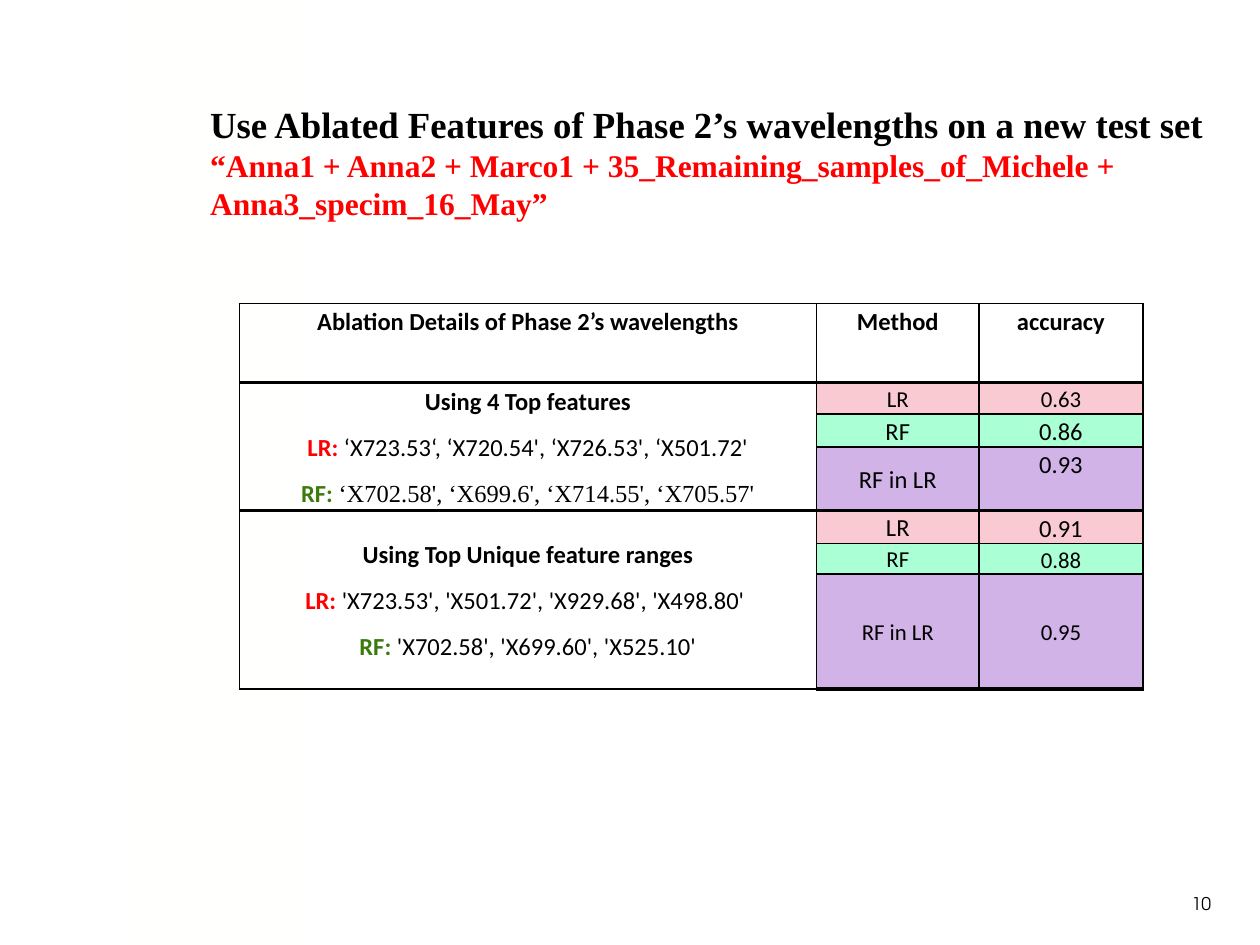
from lxml import etree
from pptx import Presentation
from pptx.dml.color import RGBColor
from pptx.enum.shapes import MSO_SHAPE as Shape
from pptx.enum.text import MSO_ANCHOR as Anchor, PP_ALIGN as Align
from pptx.oxml.ns import qn
from pptx.util import Pt

BLACK = RGBColor(0, 0, 0)
RED = RGBColor(0xFF, 0, 0)
GREEN = RGBColor(0x39, 0x7B, 0x0D)
IVORY = RGBColor(0xFF, 0xFF, 0xFE)
PINK = RGBColor(0xFA, 0xCA, 0xD2)
MINT = RGBColor(0xAB, 0xFF, 0xD5)
LILAC = RGBColor(0xD1, 0xB3, 0xE7)

SANS, SERIF, PAGE = "Calibri", "Times New Roman", "TeX Gyre Adventor"
THIN, THICK = 1, 2.25

COLS = [329.8, 92.9, 93.6]
ROWS = [45.2, 18, 18.8, 36.3, 18.3, 17.7, 65.7]
HEADS = ["Ablation Details of Phase 2’s wavelengths", "Method", "accuracy"]
METHODS = [("LR", PINK), ("RF", MINT), ("RF in LR", LILAC)]

# Each group: title, LR features, RF features, RF font, (accuracy, size) by method
GROUPS = [
    ("Using 4 Top features",
     "‘X723.53‘, ‘X720.54', ‘X726.53', ‘X501.72'",
     "‘X702.58', ‘X699.6', ‘X714.55', ‘X705.57'", SERIF,
     [("0.63", 13), ("0.86", 14), ("0.93", 14)]),
    ("Using Top Unique feature ranges",
     "'X723.53', 'X501.72', 'X929.68', 'X498.80' ",
     "'X702.58', 'X699.60', 'X525.10'", SANS,
     [("0.91", 14), ("0.88", 13), ("0.95", 13)]),
]


def add_run(para, text, size=14, font=SANS, color=BLACK, bold=False):
    run = para.add_run()
    run.text = text
    run.font.size = Pt(size)
    run.font.name = font
    run.font.bold = bold
    run.font.color.rgb = color


def add_text(slide, left, top, width, height, align=Align.LEFT):
    box = slide.shapes.add_textbox(Pt(left), Pt(top), Pt(width), Pt(height))
    box.text_frame.word_wrap = True
    para = box.text_frame.paragraphs[0]
    para.alignment = align
    return para


def add_band(slide, left, top, width, height):
    band = slide.shapes.add_shape(
        Shape.RECTANGLE, Pt(left), Pt(top), Pt(width), Pt(height))
    band.shadow.inherit = False
    band.fill.solid()
    band.fill.fore_color.rgb = IVORY
    band.line.fill.background()


def set_edges(cell, top, bottom):
    props = cell._tc.get_or_add_tcPr()
    for side, width in zip("LRTB", (THIN, THIN, top, bottom)):
        line = etree.SubElement(props, qn(f"a:ln{side}"), w=str(Pt(width)))
        fill = etree.SubElement(line, qn("a:solidFill"))
        etree.SubElement(fill, qn("a:srgbClr"), val=str(BLACK))


def fill_cell(cell, lines, color=None, mid=False):
    """Write lines, each a list of (text, style) runs, into a cell."""
    if color is None:
        cell.fill.background()
    else:
        cell.fill.solid()
        cell.fill.fore_color.rgb = color
    cell.vertical_anchor = Anchor.MIDDLE if mid else Anchor.TOP
    cell.margin_left = cell.margin_right = Pt(0 if mid else 5)
    cell.margin_top = Pt(0 if mid else 0.7)
    cell.margin_bottom = Pt(0)
    frame = cell.text_frame
    for i, runs in enumerate(lines):
        para = frame.add_paragraph() if i else frame.paragraphs[0]
        para.alignment = Align.CENTER
        para.line_spacing = 1.07
        para.space_after = Pt(8)
        for text, style in runs:
            add_run(para, text, **style)


def add_group(table, start, title, lr, rf, font, scores):
    head = table.cell(start, 0)
    head.merge(table.cell(start + 2, 0))
    fill_cell(head, [
        [(title, dict(bold=True))],
        [("LR: ", dict(color=RED, bold=True)), (lr, {})],
        [("RF: ", dict(color=GREEN, bold=True)), (rf, dict(font=font))],
    ], mid=True)
    for i, ((name, color), (score, size)) in enumerate(zip(METHODS, scores)):
        style = dict(size=size)
        method, value = (table.cell(start + i, col) for col in (1, 2))
        fill_cell(method, [[(name, style)]], color, mid=True)
        fill_cell(value, [[(score, style)]], color, mid=score == "0.95")


def add_results(slide):
    frame = slide.shapes.add_table(
        len(ROWS), len(COLS), Pt(136.8), Pt(173.5), Pt(sum(COLS)), Pt(sum(ROWS)))
    table = frame.table
    table.first_row = table.horz_banding = False
    for col, width in zip(table.columns, COLS):
        col.width = Pt(width)
    for r, height in enumerate(ROWS):
        table.rows[r].height = Pt(height)
        # Thick rules close the header and each group of three
        top = THICK if r in (1, 4) else THIN
        bottom = THICK if r % 3 == 0 else THIN
        for c in range(len(COLS)):
            set_edges(table.cell(r, c), top, bottom)
    for c, text in enumerate(HEADS):
        fill_cell(table.cell(0, c), [[(text, dict(bold=True))]])
    for i, group in enumerate(GROUPS):
        add_group(table, 1 + 3 * i, *group)


def main():
    deck = Presentation()
    deck.slide_width, deck.slide_height = Pt(720), Pt(540)
    slide = deck.slides.add_slide(deck.slide_layouts[6])

    # Page number and side band
    page = add_text(slide, 671, 506.9, 28.1, 24.5, Align.RIGHT)
    add_run(page, "10", 10, PAGE)
    add_band(slide, 76.3, 0, 97.9, 540)

    # Title
    title = add_text(slide, 113, 54.7, 585.4, 108.7)
    add_run(title, "Use Ablated Features of Phase 2’s wavelengths on a new test set ",
            21, SERIF, bold=True)
    add_run(title, "“Anna1 + Anna2 + Marco1 + 35_Remaining_samples_of_Michele + "
            "Anna3_specim_16_May”", 18, SERIF, RED, True)

    # Accuracy table
    add_results(slide)
    deck.save("out.pptx")


if __name__ == "__main__":
    main()
